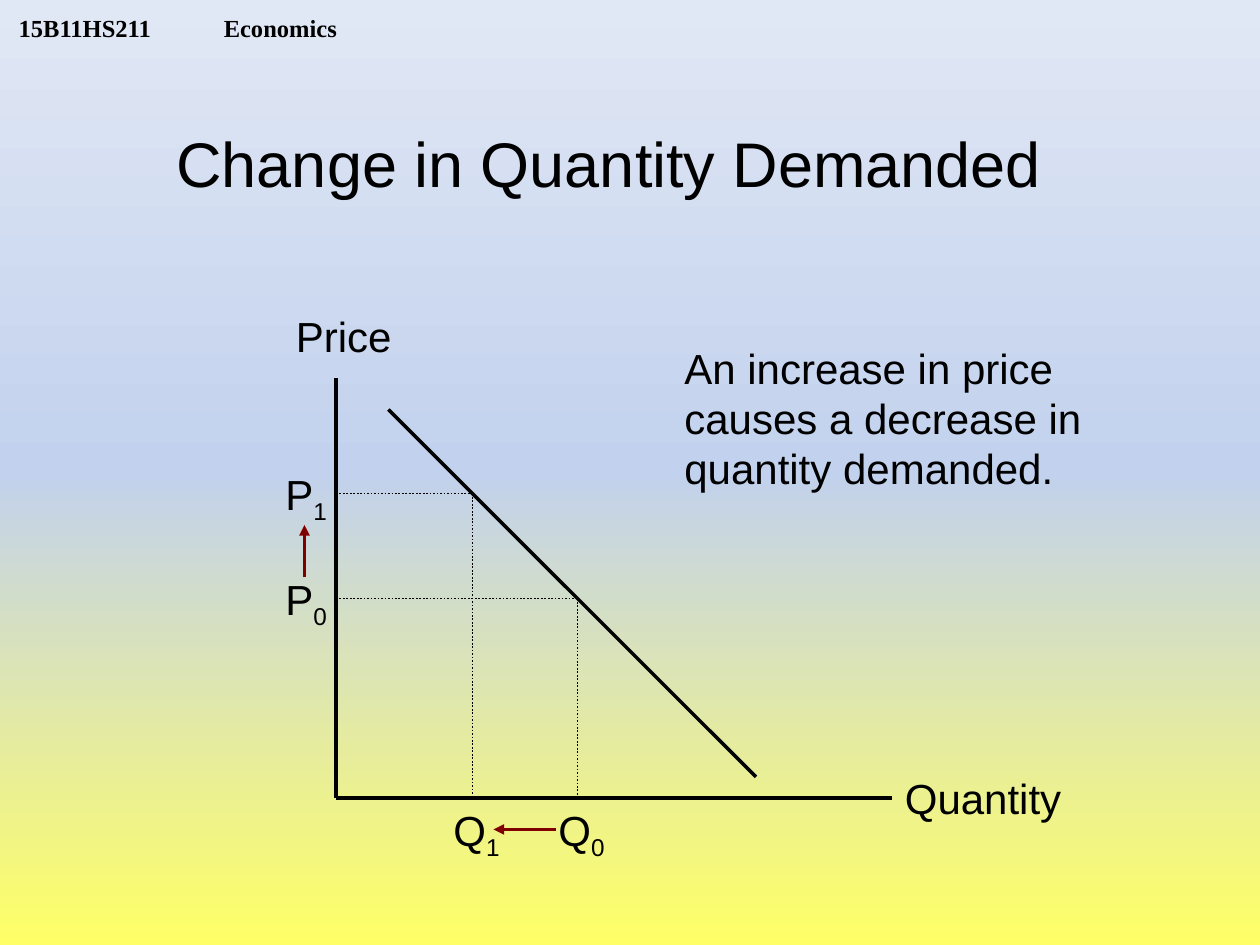
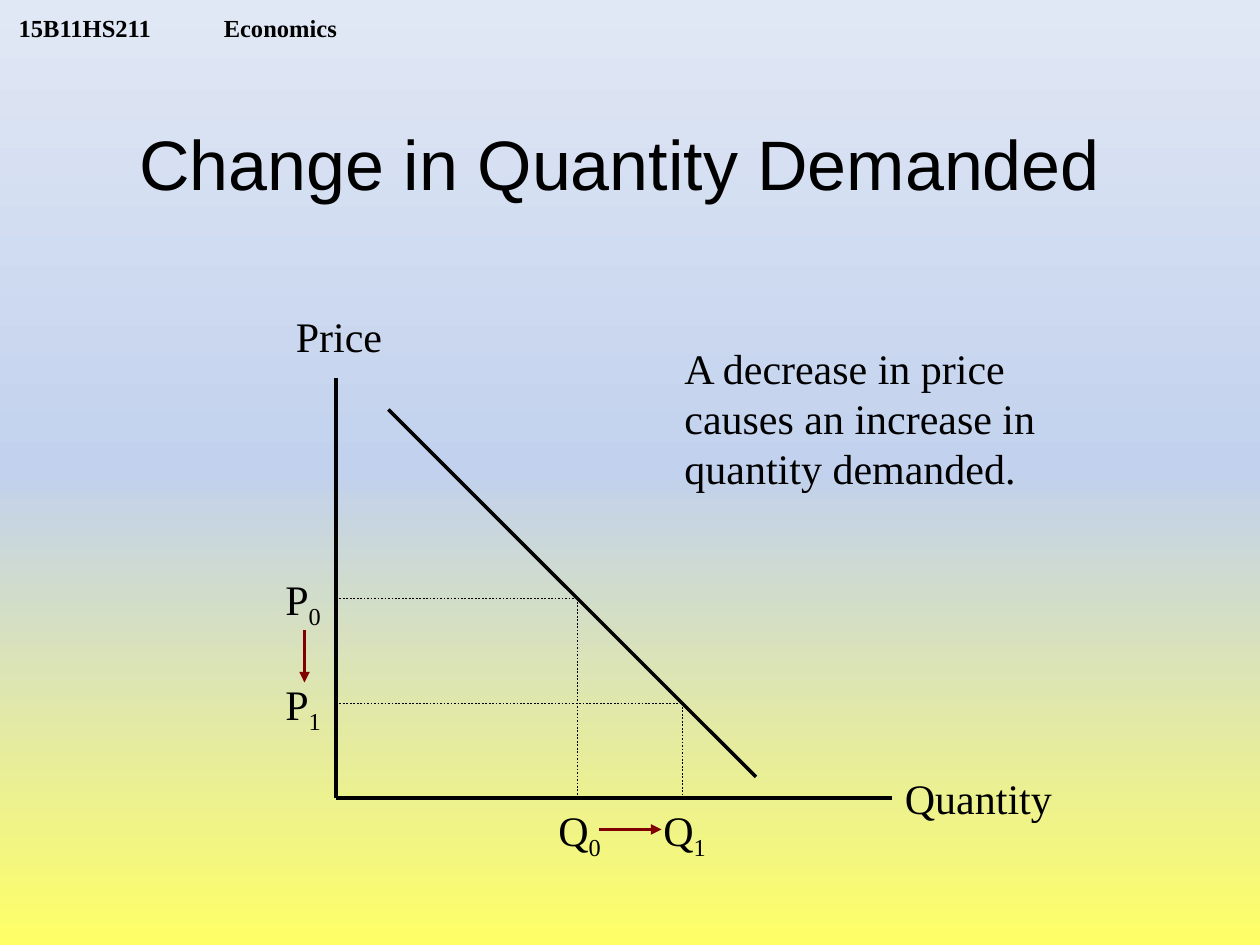
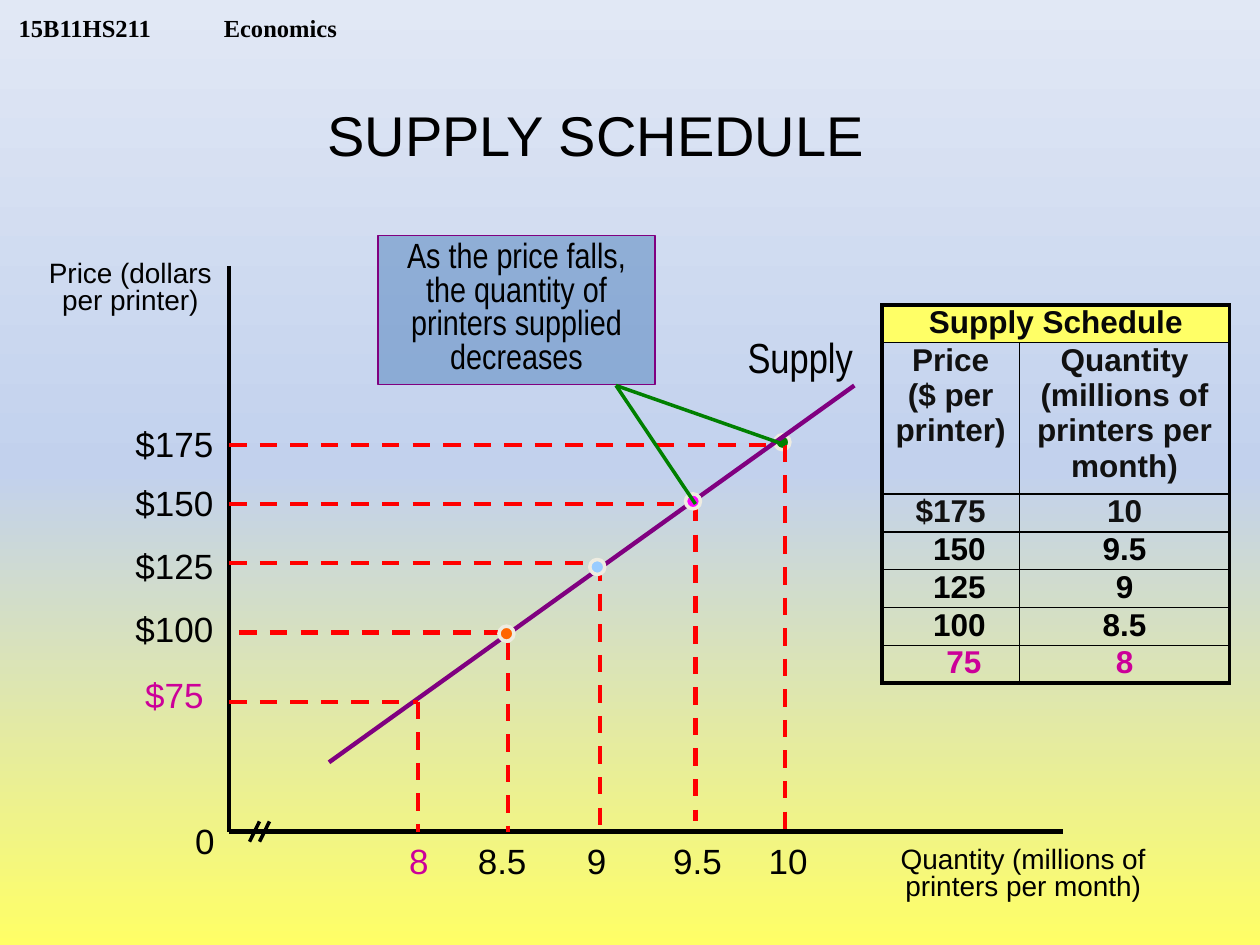
from copy import deepcopy
from dataclasses import dataclass
from typing import NamedTuple

from lxml import etree
from pptx import Presentation
from pptx.dml.color import RGBColor
from pptx.enum.dml import MSO_LINE
from pptx.enum.shapes import MSO_CONNECTOR, MSO_SHAPE
from pptx.enum.text import MSO_ANCHOR, MSO_AUTO_SIZE, PP_ALIGN
from pptx.oxml.ns import qn
from pptx.util import Pt

DOTTED, DASHED = MSO_LINE.ROUND_DOT, MSO_LINE.DASH
STRAIGHT = MSO_CONNECTOR.STRAIGHT
RECTANGLE, OVAL = MSO_SHAPE.RECTANGLE, MSO_SHAPE.OVAL
TOP, MIDDLE, BOTTOM = MSO_ANCHOR.TOP, MSO_ANCHOR.MIDDLE, MSO_ANCHOR.BOTTOM
LEFT, CENTER = PP_ALIGN.LEFT, PP_ALIGN.CENTER
GROW = MSO_AUTO_SIZE.SHAPE_TO_FIT_TEXT

BLACK = RGBColor(0x00, 0x00, 0x00)
YELLOW = RGBColor(0xFF, 0xFF, 0x66)
SKY = RGBColor(0xC2, 0xD1, 0xED)
PALE_SKY = RGBColor(0xE1, 0xE8, 0xF5)
MAROON = RGBColor(0x80, 0x00, 0x00)
RED = RGBColor(0xFF, 0x00, 0x00)
PURPLE = RGBColor(0x80, 0x00, 0x80)
GREEN = RGBColor(0x00, 0x80, 0x00)
MAGENTA = RGBColor(0xFF, 0x00, 0xFF)
LIGHT_BLUE = RGBColor(0x99, 0xCC, 0xFF)
ORANGE = RGBColor(0xFF, 0x66, 0x00)
CREAM = RGBColor(0xEE, 0xEC, 0xE1)
STEEL_BLUE = RGBColor(0x4F, 0x81, 0xBD)
PINK = RGBColor(0xCC, 0x00, 0x99)
NEAR_BLACK = RGBColor(0x08, 0x08, 0x08)
CHARCOAL = RGBColor(0x11, 0x11, 0x11)

SANS, NARROW, SERIF = "Arial", "Arial Narrow", "Times New Roman"


class Area(NamedTuple):
    left: float
    top: float
    width: float
    height: float

    def points(self) -> list:
        return [Pt(length) for length in self]


class Spot(NamedTuple):
    x: float
    y: float


@dataclass(frozen=True)
class TextStyle:
    size: float
    font: str = SANS
    color: RGBColor = BLACK
    bold: bool = False
    align: PP_ALIGN = LEFT
    spacing: float | None = None


@dataclass(frozen=True)
class LineStyle:
    color: RGBColor
    width: float
    dash: MSO_LINE | None = None
    arrow: bool = False


@dataclass(frozen=True)
class DemandPage:
    title_area: Area
    title_size: float
    font: str
    note: str
    note_width: float
    quantity_width: float
    price_width: float
    p_width: float
    q_width: float
    new_x: float


@dataclass(frozen=True)
class SupplyMark:
    price: str
    quantity: str
    price_top: float
    quantity_left: float
    level: Spot             # where the horizontal guide ends
    drop: Spot              # where the vertical guide starts
    guide_left: float
    guide_bottom: float
    dot: Spot | None = None
    dot_color: RGBColor | None = None
    label_color: RGBColor = BLACK


AXIS = LineStyle(BLACK, 2)
GUIDE = LineStyle(BLACK, 1, DOTTED)
SHIFT = LineStyle(MAROON, 2, arrow=True)
SUPPLY_AXIS = LineStyle(BLACK, 2.5)
SUPPLY_CURVE = LineStyle(PURPLE, 2.5)
SUPPLY_GUIDE = LineStyle(RED, 2.5, DASHED)
POINTER = LineStyle(GREEN, 2)

DEMAND_ORIGIN = Spot(192, 456)
START_X = 330
DEMAND_PAGES = [
    DemandPage(Area(24, 48, 648, 90), 36, SANS,
               "An increase in price causes a decrease in quantity demanded.",
               282, 105, 70, 39.6, 42.5, 270),
    DemandPage(Area(48, 48, 612, 90), 40, SERIF,
               "A decrease in price causes an increase in quantity demanded.",
               264, 98.6, 64, 36, 39.6, 390),
]

SUPPLY_ORIGIN = Spot(131, 475.2)
AXIS_X, AXIS_Y = SUPPLY_ORIGIN
SUPPLY_MARKS = [
    SupplyMark("$175", "10", 242.6, 424.8, Spot(442.8, 254.2), Spot(448.6, 254.2),
               AXIS_X, AXIS_Y, Spot(442.8, 248.4), GREEN),
    SupplyMark("$150", "9.5", 276.5, 373, Spot(397.4, 288), Spot(397.4, 288),
               AXIS_X, 469.4, Spot(391.7, 282.2), MAGENTA),
    SupplyMark("$125", "9", 312.5, 315.4, Spot(340.6, 321.8), Spot(342.7, 321.8),
               AXIS_X, AXIS_Y, Spot(337, 319.7), LIGHT_BLUE),
    SupplyMark("$100", "8.5", 348.5, 261.4, Spot(290.2, 361.4), Spot(290.2, 367.2),
               136.8, AXIS_Y, Spot(285.1, 357.8), ORANGE),
    SupplyMark("$75", "8", 385.9, 213.8, Spot(239, 401), Spot(239, 401),
               AXIS_X, AXIS_Y, label_color=PINK),
]

# Price, quantity, colour and the extra left margin of the price
SCHEDULE_ROWS = [
    ("Price ($ per printer)", "Quantity (millions of printers per month)", CHARCOAL, 0),
    ("$175", "10", CHARCOAL, 0),
    ("150", "9.5", BLACK, 10),
    ("125", "9", BLACK, 10),
    ("100", "8.5", BLACK, 10),
    ("75", "8", PINK, 15),
]


def style_paragraph(para, style: TextStyle) -> None:
    para.alignment = style.align
    if style.spacing:
        para.line_spacing = style.spacing
    for span in para.runs:
        span.font.name = style.font
        span.font.size = Pt(style.size)
        span.font.bold = style.bold
        span.font.color.rgb = style.color


def add_text(page, text: str, area: Area, style: TextStyle, anchor=TOP,
             wrap: bool = True, grow: bool = True):
    box = page.shapes.add_textbox(*area.points())
    frame = box.text_frame
    frame.text = text
    frame.word_wrap = wrap
    frame.vertical_anchor = anchor
    if grow:
        frame.auto_size = GROW
    style_paragraph(frame.paragraphs[0], style)
    return box


def add_indexed(page, letter: str, index: str, area: Area, style: TextStyle) -> None:
    """Add a letter with a subscript."""
    box = add_text(page, letter, area, style, wrap=False)
    para = box.text_frame.paragraphs[0]
    subscript = para.add_run()
    subscript.text = index
    style_paragraph(para, style)
    subscript._r.get_or_add_rPr().set("baseline", "-25000")


def add_line(page, start: Spot, end: Spot, style: LineStyle) -> None:
    line = page.shapes.add_connector(STRAIGHT, *[Pt(n) for n in (*start, *end)])
    line.line.color.rgb = style.color
    line.line.width = Pt(style.width)
    if style.dash:
        line.line.dash_style = style.dash
    if style.arrow:
        etree.SubElement(line.line._get_or_add_ln(), qn("a:tailEnd"), type="triangle")
    etree.SubElement(line._element.spPr, qn("a:effectLst"))


def add_filled(page, kind, area: Area, fill: RGBColor, outline: RGBColor, width: float):
    shape = page.shapes.add_shape(kind, *area.points())
    shape.shadow.inherit = False
    shape.fill.solid()
    shape.fill.fore_color.rgb = fill
    shape.line.color.rgb = outline
    shape.line.width = Pt(width)
    return shape


def set_background(master) -> None:
    fill = master.background.fill
    fill.gradient()
    fill.gradient_angle = 90
    stops = master.element.find(".//" + qn("a:gsLst"))
    stops.insert(1, deepcopy(stops[0]))
    colors = (YELLOW, SKY, PALE_SKY)
    for stop, position, color in zip(fill.gradient_stops, (0, 0.5, 1), colors):
        stop.position = position
        stop.color.rgb = color


def add_page(deck, title: str, title_area: Area, title_size: float):
    page = deck.slides.add_slide(deck.slide_layouts[6])
    header = add_text(page, "15B11HS211\tEconomics", Area(3.6, 0, 230.4, 24),
                      TextStyle(14, SERIF, bold=True), BOTTOM, grow=False)
    frame = header.text_frame
    frame.margin_top = frame.margin_bottom = 0
    tabs = etree.SubElement(frame.paragraphs[0]._p.get_or_add_pPr(), qn("a:tabLst"))
    etree.SubElement(tabs, qn("a:tab"), pos=str(Pt(117.2)), algn="l")
    add_text(page, title, title_area, TextStyle(title_size, align=CENTER), MIDDLE,
             grow=False)
    return page


def add_demand_page(deck, spec_page: DemandPage) -> None:
    page = add_page(deck, "Change in Quantity Demanded",
                    spec_page.title_area, spec_page.title_size)
    style = TextStyle(24, spec_page.font)
    axis_x, axis_y = DEMAND_ORIGIN
    add_line(page, Spot(axis_x, 216), DEMAND_ORIGIN, AXIS)
    add_line(page, Spot(510, axis_y), DEMAND_ORIGIN, AXIS)
    add_text(page, "Quantity", Area(510, 438, spec_page.quantity_width, 36), style,
             wrap=False)
    add_text(page, "Price", Area(162, 174, spec_page.price_width, 36), style, wrap=False)
    add_line(page, Spot(222, 234), Spot(432, 444), AXIS)

    start, new = (Spot(x, x + 12) for x in (START_X, spec_page.new_x))
    for index, spot in (("0", start), ("1", new)):
        add_line(page, Spot(axis_x, spot.y), spot, GUIDE)
        add_line(page, spot, Spot(spot.x, axis_y), GUIDE)
        add_indexed(page, "P", index,
                    Area(156, spot.y - 18, spec_page.p_width, 36), style)
        add_indexed(page, "Q", index,
                    Area(spot.x - 18, axis_y, spec_page.q_width, 36), style)

    low, high = sorted((start, new))
    price_ends = [Spot(174, low.y + 18), Spot(174, high.y - 12)]
    quantity_ends = [Spot(low.x + 12, 474), Spot(high.x - 12, 474)]
    for ends in (price_ends, quantity_ends):
        if new < start:
            ends.reverse()
        add_line(page, *ends, SHIFT)
    add_text(page, spec_page.note, Area(384, 192, spec_page.note_width, 94), style)


def set_borders(cell, widths: dict[str, float]) -> None:
    properties = cell._tc.get_or_add_tcPr()
    for position, (side, width) in enumerate(widths.items()):
        border = etree.Element(qn(f"a:ln{side}"), w=str(Pt(width)))
        fill = etree.SubElement(border, qn("a:solidFill"))
        etree.SubElement(fill, qn("a:srgbClr"), val=str(BLACK))
        properties.insert(position, border)


def fill_cell(cell, text: str, color: RGBColor, indent: float = 0) -> None:
    cell.text = text
    cell.margin_left = Pt(7.2 + indent)
    cell.margin_right = Pt(7.2)
    cell.margin_top = cell.margin_bottom = 0
    style_paragraph(cell.text_frame.paragraphs[0],
                    TextStyle(18, color=color, bold=True, align=CENTER))


def add_schedule(page) -> None:
    row_total = len(SCHEDULE_ROWS) + 1
    area = Area(504, 174.2, 198.7, 215.3)
    table = page.shapes.add_table(row_total, 2, *area.points()).table
    table.first_row = table.horz_banding = False
    for column, width in zip(table.columns, (78.5, 120.2)):
        column.width = Pt(width)
    for number, row in enumerate(table.rows):
        row.height = Pt(85.7 if number == 1 else 21.6)

    for row in range(row_total):
        for column in range(2):
            cell = table.cell(row, column)
            cell.fill.background()
            set_borders(cell, {"L": 2.25 if column == 0 else 1,
                               "R": 2.25 if column == 1 or row == 0 else 1,
                               "T": 2.25 if row == 0 else 1,
                               "B": 2.25 if row == row_total - 1 else 1})
    heading = table.cell(0, 0)
    heading.merge(table.cell(0, 1))
    heading.fill.solid()
    heading.fill.fore_color.rgb = YELLOW
    fill_cell(heading, "Supply Schedule", NEAR_BLACK)
    for row, (price, quantity, color, indent) in enumerate(SCHEDULE_ROWS, start=1):
        fill_cell(table.cell(row, 0), price, color, indent)
        fill_cell(table.cell(row, 1), quantity, color)


def add_callout(page) -> None:
    box = add_filled(page, RECTANGLE, Area(216, 134.6, 158.4, 85), STEEL_BLUE, PURPLE, 0.75)
    color = box._element.spPr.find(qn("a:solidFill"))[0]
    etree.SubElement(color, qn("a:alpha"), val="50000")
    frame = box.text_frame
    frame.text = "As the price falls, the quantity of printers supplied decreases"
    frame.word_wrap = True
    frame.vertical_anchor = TOP
    frame.auto_size = GROW
    style_paragraph(frame.paragraphs[0],
                    TextStyle(20, NARROW, align=CENTER, spacing=0.8))
    for mark in SUPPLY_MARKS[:2]:
        add_line(page, Spot(352, 220.3), mark.drop, POINTER)


def add_dot(page, mark: SupplyMark) -> None:
    if mark.dot:
        add_filled(page, OVAL, Area(*mark.dot, 8.6, 8.6), mark.dot_color, CREAM, 2)


def add_supply_page(deck) -> None:
    page = add_page(deck, "SUPPLY SCHEDULE", Area(16.6, 39.6, 648, 74.2), 32)
    add_line(page, Spot(AXIS_X, 152), SUPPLY_ORIGIN, SUPPLY_AXIS)
    add_line(page, SUPPLY_ORIGIN, Spot(607.7, AXIS_Y), SUPPLY_AXIS)
    for x in (142.6, 148.3):
        add_line(page, Spot(x + 5.7, 469.4), Spot(x, 481), AXIS)

    captions = [
        ("Price (dollars per printer)", Area(12.2, 146.2, 124.6, 38.2), 16, SANS),
        ("Quantity (millions of printers per month)",
         Area(499.7, 481, 170, 38.2), 16, SANS),
        ("0", Area(103, 469.4, 28, 26.6), 20, SANS),
        ("Supply", Area(409, 191.5, 96.5, 30.2), 24, NARROW),
    ]
    for text, area, size, font in captions:
        add_text(page, text, area, TextStyle(size, font, align=CENTER, spacing=0.8))
    add_schedule(page)

    highest, *others = SUPPLY_MARKS
    add_dot(page, highest)
    add_line(page, Spot(188, 435.6), Spot(488.2, 220.3), SUPPLY_CURVE)
    for mark in SUPPLY_MARKS:
        style = TextStyle(20, color=mark.label_color, align=CENTER, spacing=0.8)
        add_text(page, mark.price, Area(68.4, mark.price_top, 62.6, 26.6), style)
        add_text(page, mark.quantity, Area(mark.quantity_left, 481, 51.1, 26.6), style)
        add_line(page, Spot(mark.guide_left, mark.level.y), mark.level, SUPPLY_GUIDE)
        add_line(page, mark.drop, Spot(mark.drop.x, mark.guide_bottom), SUPPLY_GUIDE)
    for mark in others:
        add_dot(page, mark)
    add_callout(page)


def main() -> None:
    deck = Presentation()
    deck.slide_width, deck.slide_height = Pt(720), Pt(540)
    set_background(deck.slide_master)
    for demand_page in DEMAND_PAGES:
        add_demand_page(deck, demand_page)
    add_supply_page(deck)
    deck.save("out.pptx")


if __name__ == "__main__":
    main()
